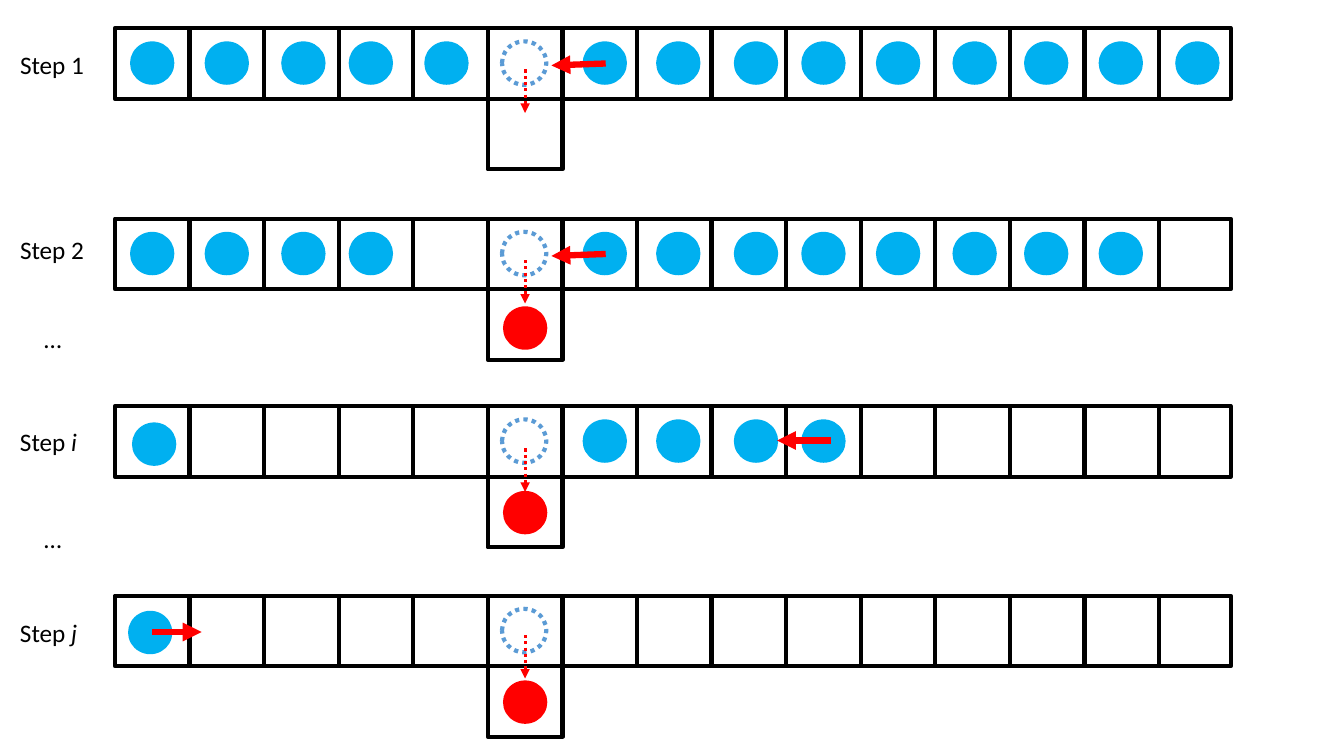
from lxml import etree
from pptx import Presentation
from pptx.dml.color import RGBColor
from pptx.enum import dml, shapes, text
from pptx.oxml import ns
from pptx.util import Pt

BLACK = RGBColor(0, 0, 0)
BLUE = RGBColor(0x00, 0xB0, 0xF0)
STEEL = RGBColor(0x5B, 0x9B, 0xD5)
RED = RGBColor(0xFF, 0, 0)

LEFT, WIDTH = 82.08, 797
CELL, HIGH = 53.28, 50.4
BALL_W, BALL_H = 31.7, 31
TRAP = 5
WALLS = [1, 2, 4, 5, 7, 8, 10, 11, 13]
SPOTS = [10.8, 64.1, 118.8, 167, 221, 276.5, 334.1, 386.6,
         442.1, 490.3, 543.6, 598.3, 649.4, 702.7, 757.4]
DOT = dml.MSO_LINE.ROUND_DOT

STEPS = [
    dict(top=20.16, name="1", drop=11.5, slots=[*range(5), *range(6, 15)],
         move=(350.6, 25.2, 311.8, 26.6), fall=29.5),
    dict(top=156.24, name="2", drop=7.9, slots=[*range(4), *range(6, 14)],
         move=(350.6, 25.2, 311.8, 26.6), fall=29.5, red=62.6, more=71.3),
    dict(top=290.16, name="i", drop=10.8, slots=[0, *range(6, 10)],
         shift=(1.4, 2.2), move=(511.2, 24.5, 473, 24.5), fall=30.2,
         red=60.5, more=79.9),
    dict(top=425.52, name="j", drop=12.2, slots=[0], shift=(-1.4, 1.4),
         move=(26.6, 25.9, 61.9, 25.9), fall=28.1, red=60.5),
]


def add_shape(parent, kind, x, y, w, h, fill=None, line=None, dash=None):
    shape = parent.shapes.add_shape(kind, Pt(x), Pt(y), Pt(w), Pt(h))
    shape.shadow.inherit = False
    if fill is None:
        shape.fill.background()
    else:
        shape.fill.solid()
        shape.fill.fore_color.rgb = fill
    if line is None:
        shape.line.fill.background()
    else:
        shape.line.color.rgb = line
        shape.line.width = Pt(3)
        if dash:
            shape.line.dash_style = dash


def add_ball(slide, x, y, **look):
    add_shape(slide, shapes.MSO_SHAPE.OVAL, x, y, BALL_W, BALL_H, **look)


def add_arrow(slide, x1, y1, x2, y2, width, dash=None):
    arrow = slide.shapes.add_connector(
        shapes.MSO_CONNECTOR.STRAIGHT, Pt(x1), Pt(y1), Pt(x2), Pt(y2))
    arrow.line.color.rgb = RED
    arrow.line.width = Pt(width)
    if dash:
        arrow.line.dash_style = dash
    etree.SubElement(arrow.line._get_or_add_ln(), ns.qn("a:tailEnd"), type="triangle")
    etree.SubElement(arrow._element.spPr, ns.qn("a:effectLst"))


def add_label(slide, x, y, w, words, wrap=False):
    box = slide.shapes.add_textbox(Pt(x), Pt(y), Pt(w), Pt(29))
    frame = box.text_frame
    frame.word_wrap = wrap
    frame.auto_size = text.MSO_AUTO_SIZE.SHAPE_TO_FIT_TEXT
    for word in words:
        run = frame.paragraphs[0].add_run()
        run.text = word
        run.font.name = "Calibri"
        run.font.size = Pt(18)
        run.font.color.rgb = BLACK
        run.font.italic = word in ("i", "j")


def add_track(slide, x, y):
    group = slide.shapes.add_group_shape()
    boxes = [(x, y, WIDTH)]
    boxes += [(x + wall * CELL, y, CELL) for wall in WALLS]
    boxes.append((x + TRAP * CELL, y + HIGH, CELL))
    for left, top, width in boxes:
        add_shape(group, shapes.MSO_SHAPE.RECTANGLE, left, top, width, HIGH, line=BLACK)


def add_step(slide, x, top, name, drop, slots, move, fall,
             shift=(0, 0), red=None, more=None):
    add_track(slide, x, top)
    for slot in slots:
        dx, dy = shift if slot == 0 else (0, 0)
        add_ball(slide, x + SPOTS[slot] + dx, top + 9.4 + dy, fill=BLUE)
    if red:
        add_ball(slide, x + 277.2, top + red, fill=RED)
    x1, y1, x2, y2 = move
    add_arrow(slide, x + x1, top + y1, x + x2, top + y2, 4.5)
    add_ball(slide, x + SPOTS[TRAP], top + 9.4, line=STEEL, dash=DOT)
    add_arrow(slide, x + 293, top + fall, x + 293, top + fall + 31, 2.25, DOT)
    words = ["Step " + name] if name.isdigit() else ["Step ", name]
    add_label(slide, 7.2, top + drop, 60 if name.isdigit() else 56, words)
    if more:
        add_label(slide, 24.5, top + more, 48.2, ["…"], True)


def main():
    deck = Presentation()
    deck.slide_width, deck.slide_height = Pt(960), Pt(540)
    slide = deck.slides.add_slide(deck.slide_layouts[6])
    for step in STEPS:
        add_step(slide, LEFT, **step)
    deck.save("out.pptx")


if __name__ == "__main__":
    main()
